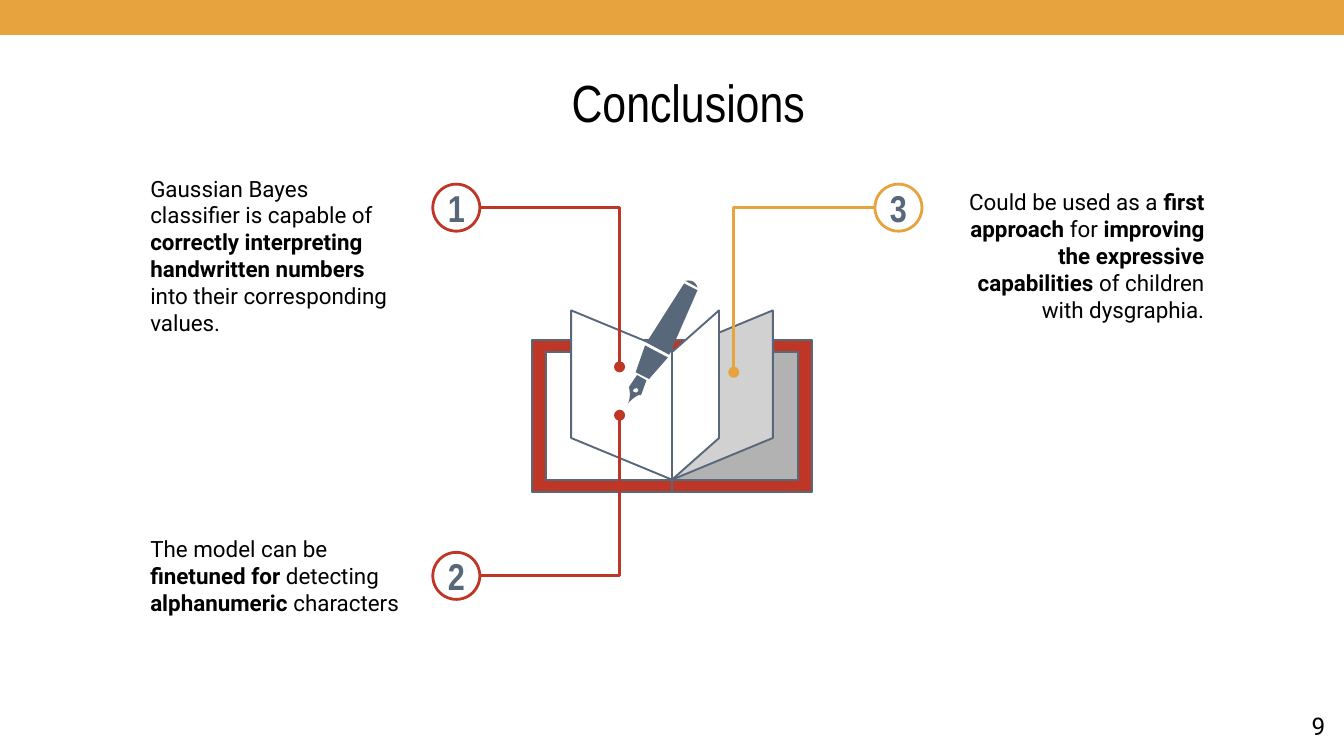
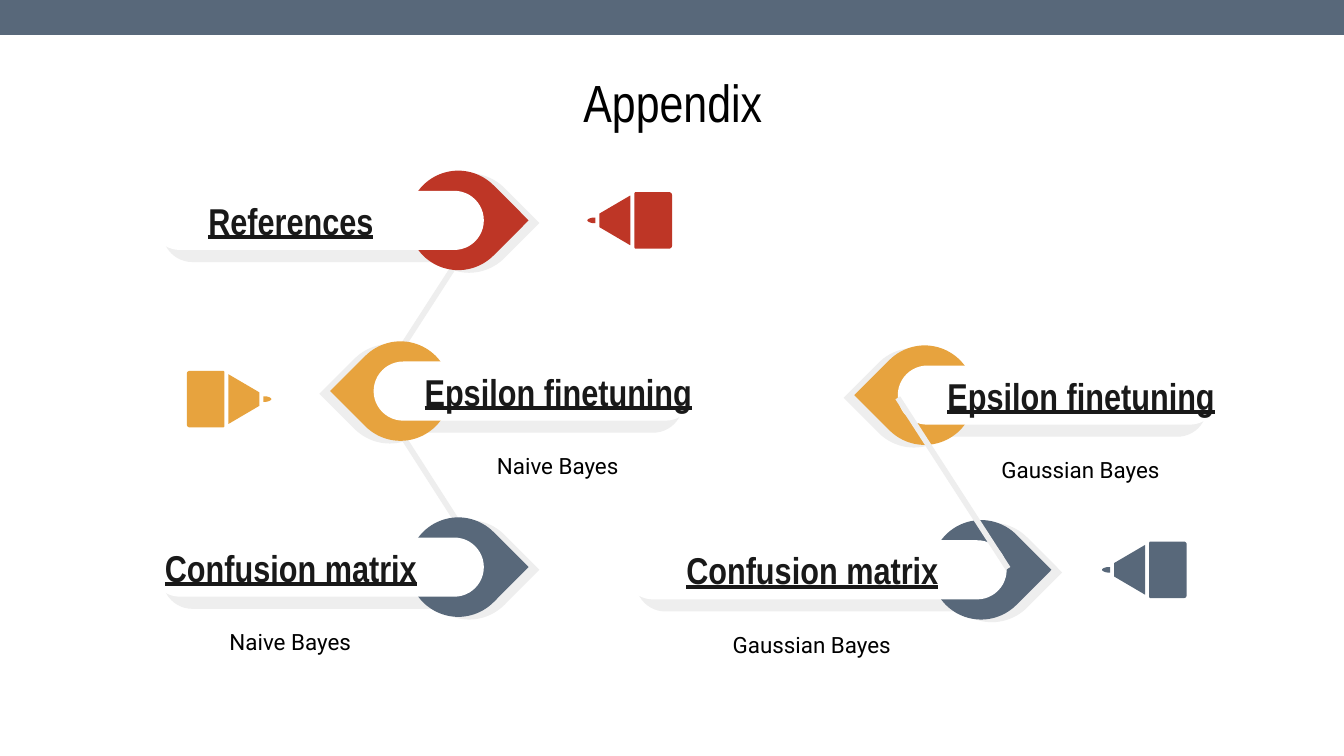
from dataclasses import dataclass

from pptx import Presentation
from pptx.dml.color import RGBColor
from pptx.enum.shapes import MSO_CONNECTOR, MSO_SHAPE
from pptx.enum.text import MSO_ANCHOR, MSO_AUTO_SIZE, PP_ALIGN
from pptx.oxml.ns import qn
from pptx.util import Inches, Pt
from lxml import etree

LEFT, CENTER, RIGHT = PP_ALIGN.LEFT, PP_ALIGN.CENTER, PP_ALIGN.RIGHT
TOP, MIDDLE = MSO_ANCHOR.TOP, MSO_ANCHOR.MIDDLE
RECT, PILL = MSO_SHAPE.RECTANGLE, MSO_SHAPE.ROUNDED_RECTANGLE
OVAL, DROP = MSO_SHAPE.OVAL, MSO_SHAPE.TEAR
STRAIGHT, ELBOW = MSO_CONNECTOR.STRAIGHT, MSO_CONNECTOR.ELBOW
COLUMNS, ROWS = 100, 56.25
TITLE_ONLY = 5


@dataclass(frozen=True)
class Theme:
    """Colours, fonts and type sizes of the deck."""
    red: str = "BE3626"
    amber: str = "E7A33E"
    slate: str = "58687A"
    white: str = "FFFFFF"
    mist: str = "EEEEEE"
    page_gray: str = "D1D1D1"
    inner_gray: str = "B2B2B2"
    ink: str = "000000"
    link: str = "191919"
    head_font: str = "Arial Narrow"
    body_font: str = "Roboto"
    title_size: float = 28
    label_size: float = 20
    number_size: float = 13
    body_size: float = 12
    book_line: float = 1.03
    callout_line: float = 1.5
    link_line: float = 3


THEME = Theme()


def grid(units):
    """Convert grid units, each a hundredth of the slide width, to EMU."""
    return Inches(units / 10)


def rgb(color):
    """Return the colour object for a hex string."""
    return RGBColor.from_string(color)


def paint(shape, fill, line=None, width=1):
    """Give a shape a flat fill and an optional outline."""
    shape.shadow.inherit = False
    shape.fill.solid()
    shape.fill.fore_color.rgb = rgb(fill)
    if line:
        shape.line.color.rgb = rgb(line)
        shape.line.width = Pt(width)
    else:
        shape.line.fill.background()
    return shape


def add_preset(slide, kind, x, y, w, h, fill, line=None, width=1):
    """Add a painted preset shape in grid units."""
    shape = slide.shapes.add_shape(kind, grid(x), grid(y), grid(w), grid(h))
    return paint(shape, fill, line, width)


def flatten(contour, steps=8):
    """Turn points and six-number Bézier curves into a list of points."""
    points = []
    for part in contour:
        if len(part) == 2:
            points.append(part)
            continue
        nodes = [points[-1], part[:2], part[2:4], part[4:]]
        for step in range(1, steps + 1):
            t = step / steps
            weights = ((1 - t) ** 3, 3 * t * (1 - t) ** 2, 3 * t * t * (1 - t), t ** 3)
            points.append(tuple(sum(k * n[axis] for k, n in zip(weights, nodes))
                                for axis in (0, 1)))
    return points


def add_outline(slide, x, y, contours, fill, line=None, width=1, direction=1):
    """Draw closed contours relative to x, y, mirrored if direction is -1."""
    builder = None
    for contour in contours:
        points = [(grid(x + direction * px), grid(y + py)) for px, py in flatten(contour)]
        if builder is None:
            builder = slide.shapes.build_freeform(*points[0])
        else:
            builder.move_to(*points[0])
        builder.add_line_segments(points[1:], close=True)
    return paint(builder.convert_to_shape(), fill, line, width)


def add_line(slide, kind, start, end, color, width):
    """Add a flat connector between two grid points."""
    line = slide.shapes.add_connector(kind, *map(grid, (*start, *end)))
    line.line.color.rgb = rgb(color)
    line.line.width = Pt(width)
    etree.SubElement(line._element.spPr, qn("a:effectLst"))
    return line


def write(holder, text, size, font, color, align=LEFT, anchor=MIDDLE,
          margin=1, bold=False, underline=None):
    """Fill a shape with one paragraph in which ** toggles bold."""
    frame = holder.text_frame
    frame.word_wrap = True
    frame.auto_size = MSO_AUTO_SIZE.NONE
    frame.vertical_anchor = anchor
    frame.margin_left = frame.margin_right = grid(margin)
    frame.margin_top = frame.margin_bottom = grid(margin)
    paragraph = frame.paragraphs[0]
    paragraph.alignment = align
    for index, piece in enumerate(text.split("**")):
        if not piece:
            continue
        run = paragraph.add_run()
        run.text = piece
        run.font.name, run.font.size = font, Pt(size)
        run.font.color.rgb = rgb(color)
        run.font.bold = bold or index % 2 == 1
        run.font.underline = underline


def add_text(slide, x, y, w, h, text, size=THEME.body_size, font=THEME.body_font,
             color=THEME.ink, **style):
    """Add a text box in grid units."""
    box = slide.shapes.add_textbox(grid(x), grid(y), grid(w), grid(h))
    write(box, text, size, font, color, **style)


def add_page(deck, title, band, left, width):
    """Add a slide with a colour band and a centred title."""
    slide = deck.slides.add_slide(deck.slide_layouts[TITLE_ONLY])
    add_preset(slide, RECT, 0, 0, COLUMNS, 2.6, band)
    heading = slide.shapes.title
    heading.left, heading.top = grid(left), grid(4.2)
    heading.width, heading.height = grid(width), grid(6.3)
    write(heading, title, THEME.title_size, THEME.head_font, THEME.ink, CENTER, TOP)
    return slide


def add_pen(slide, x, y):
    """Draw the fountain pen from its upper left corner."""
    collar = [(4.2, 5.3), (3.7, 6.4), (3.6, 6.7), (1.9, 6), (2.1, 5.5), (3.2, 5.1)]
    barrel = [(4.9, 1.1), (2.1, 5.5), (3.8, 6.4), (5.9, 1.6)]
    grip = [(2, 5.7), (1.3, 7.7), (2.3, 8.2), (3.7, 6.6)]
    nib = [(1.4, 7.9), (0.8, 8.8), (0.8, 8.8, 1, 9.5, 0.7, 10.1),
           (0.7, 10, 1.1, 9.6, 1.5, 9.4), (1.6, 9.4, 1.6, 9.4, 1.7, 9.4), (2.1, 8.3)]
    hole = [(1.3, 8.9), (1.4, 8.8, 1.4, 8.9, 1.5, 9), (1.5, 9.1, 1.4, 9.2, 1.4, 9.2),
            (1.3, 9.2, 1.2, 9.2, 1.1, 9.1), (1.1, 9, 1.2, 8.9, 1.3, 8.9)]
    cap = [(5, 0.9), (5.9, 1.4), (5.7, 0.7, 5, 0.9, 5, 0.9)]
    add_outline(slide, x, y, [collar], THEME.white)
    for contours in ([barrel], [grip], [nib, hole], [cap]):
        add_outline(slide, x, y, contours, THEME.slate)


def add_book(slide, spine, top):
    """Draw the open book around its spine, with the pen on top."""
    covers = [(10.4, 2.2, 13.5, THEME.red, THEME.red),
              (9.35, 3.1, 12.6, THEME.white, THEME.inner_gray)]
    for reach, upper, lower, left_fill, right_fill in covers:
        for side, fill in ((-1, left_fill), (1, right_fill)):
            half = [(0, upper), (0, lower), (reach, lower), (reach, upper)]
            add_outline(slide, spine, top, [half], fill, THEME.slate,
                        THEME.book_line, side)
    for reach, fill in ((-7.5, THEME.white), (7.5, THEME.page_gray), (3.5, THEME.white)):
        leaf = [(reach, 0), (0, 3.1), (0, 12.6), (reach, 9.5)]
        add_outline(slide, spine, top, [leaf], fill, THEME.slate, THEME.book_line)
    add_pen(slide, spine - 4, top - 3.1)


def add_callout(slide, number, x, y, dot, color):
    """Add a numbered circle and a bent line from it to a dot."""
    size = 3.5
    badge = add_preset(slide, OVAL, x, y, size, size, THEME.white, color,
                       THEME.callout_line)
    write(badge, number, THEME.label_size, THEME.head_font, THEME.slate, CENTER,
          margin=0, bold=True)
    start = (x + size if dot[0] > x else x, y + size / 2)
    leader = add_line(slide, ELBOW, start, dot, color, THEME.callout_line)
    properties = leader._element.spPr
    properties.find(qn("a:prstGeom")).set("prst", "bentConnector2")
    etree.SubElement(properties.find(qn("a:ln")), qn("a:tailEnd"), type="oval")


def add_crayon(slide, x, y, direction, color):
    """Draw a crayon from the middle of its flat end towards its tip."""
    body = [(0, -1.9), (0, -2, 0.1, -2.1, 0.2, -2.1), (2.7, -2.1),
            (2.8, -2.1, 2.8, -2, 2.8, -1.9), (2.8, 1.9),
            (2.8, 2, 2.8, 2.1, 2.7, 2.1), (0.2, 2.1), (0.1, 2.1, 0, 2, 0, 1.9)]
    cone = [(3.1, -1.85), (5.4, -0.5), (5.4, 0.5), (3.1, 1.85)]
    tip = [(5.7, -0.2), (5.9, -0.2), (6, -0.2, 6.3, -0.1, 6.3, 0),
           (6.3, 0.1, 6, 0.2, 5.9, 0.2), (5.7, 0.2)]
    for part in (body, cone, tip):
        add_outline(slide, x, y, [part], color, direction=direction)


def add_marker(slide, x, y, width, direction, color):
    """Add a pill whose end is wrapped by a drop, both over pale shadows."""
    height, drop = 4.4, 7.4
    drop_center = x + width - 1.9 if direction > 0 else x + 2
    drop_x, drop_y = drop_center - drop / 2, y - 1.5
    layers = [(PILL, x + 0.9 * direction, y + 0.9, width, height, THEME.mist),
              (DROP, drop_x + 0.8 * direction, drop_y + 0.2, drop, drop, THEME.mist),
              (DROP, drop_x, drop_y, drop, drop, color),
              (PILL, x, y, width, height, THEME.white)]
    for layer in layers:
        shape = add_preset(slide, *layer)
        if layer[0] == PILL:
            shape.adjustments[0] = 0.5
        else:
            shape.rotation = 45 if direction > 0 else 225


def add_label(slide, x, y, heading, caption):
    """Add an underlined heading and the caption under it."""
    add_text(slide, x, y, 25.3, 4.4, heading, THEME.label_size, THEME.head_font,
             THEME.link, align=CENTER, bold=True, underline=True)
    if caption:
        add_text(slide, x + 2.5, y + 5.35, 20.2, 4.8, caption, align=CENTER)


def build_conclusions(deck):
    """Build the slide with three findings around a book."""
    slide = add_page(deck, "Conclusions", THEME.amber, 10.2, 82)
    add_book(slide, 50, 23.1)
    findings = [
        ("1", 10.2, 16.6, LEFT, 32.2, 13.7, (46.1, 27.3), THEME.red,
         "Gaussian Bayes classifier is capable of **correctly interpreting "
         "handwritten numbers **into their corresponding values."),
        ("2", 10.2, 40.4, LEFT, 32.2, 41.1, (46.1, 30.9), THEME.red,
         "The model can be **finetuned for** detecting **alphanumeric** characters"),
        ("3", 69.9, 16.6, RIGHT, 65.1, 13.7, (54.6, 27.7), THEME.amber,
         "Could be used as a **first approach **for **improving the expressive "
         "capabilities **of children with dysgraphia."),
    ]
    for number, x, y, align, badge_x, badge_y, dot, color, text in findings:
        add_text(slide, x, y, 20.7, 4.8, text, align=align)
        add_callout(slide, number, badge_x, badge_y, dot, color)
    add_text(slide, 93.6, 51.9, 6, 4.3, "9", THEME.number_size, align=RIGHT, anchor=TOP)


def build_appendix(deck):
    """Build the slide with the chains of appendix entries."""
    slide = add_page(deck, "Appendix", THEME.slate, 7.9, 84.3)
    for end in ((36, 41.9), (36, 16.4)):
        add_line(slide, STRAIGHT, end, (27.8, 29.1), THEME.mist, THEME.link_line)
    entries = [
        (11.2, 14.2, 24.8, 1, THEME.red, 9, "References", ""),
        (27.8, 26.9, 23.9, -1, THEME.amber, 28.9, "Epsilon finetuning", "Naive Bayes"),
        (11.2, 40, 24.8, 1, THEME.slate, 9, "Confusion matrix", "Naive Bayes"),
        (66.8, 27.2, 23.9, -1, THEME.amber, 67.8, "Epsilon finetuning", "Gaussian Bayes"),
        (46.4, 40.2, 28.5, 1, THEME.slate, 47.8, "Confusion matrix", "Gaussian Bayes"),
    ]
    for x, y, width, direction, color, *_ in entries:
        add_marker(slide, x, y, width, direction, color)
    add_line(slide, STRAIGHT, (75, 42.3), (66.8, 29.6), THEME.mist, THEME.link_line)
    for _, y, _, _, _, label_x, heading, caption in entries:
        add_label(slide, label_x, y, heading, caption)
    for x, y, direction, color in ((50, 16.4, -1, THEME.red), (13.9, 29.7, 1, THEME.amber),
                                   (88.3, 42.4, -1, THEME.slate)):
        add_crayon(slide, x, y, direction, color)


def main():
    """Build and save the deck."""
    deck = Presentation()
    deck.slide_width, deck.slide_height = grid(COLUMNS), grid(ROWS)
    build_conclusions(deck)
    build_appendix(deck)
    deck.save("out.pptx")


if __name__ == "__main__":
    main()
